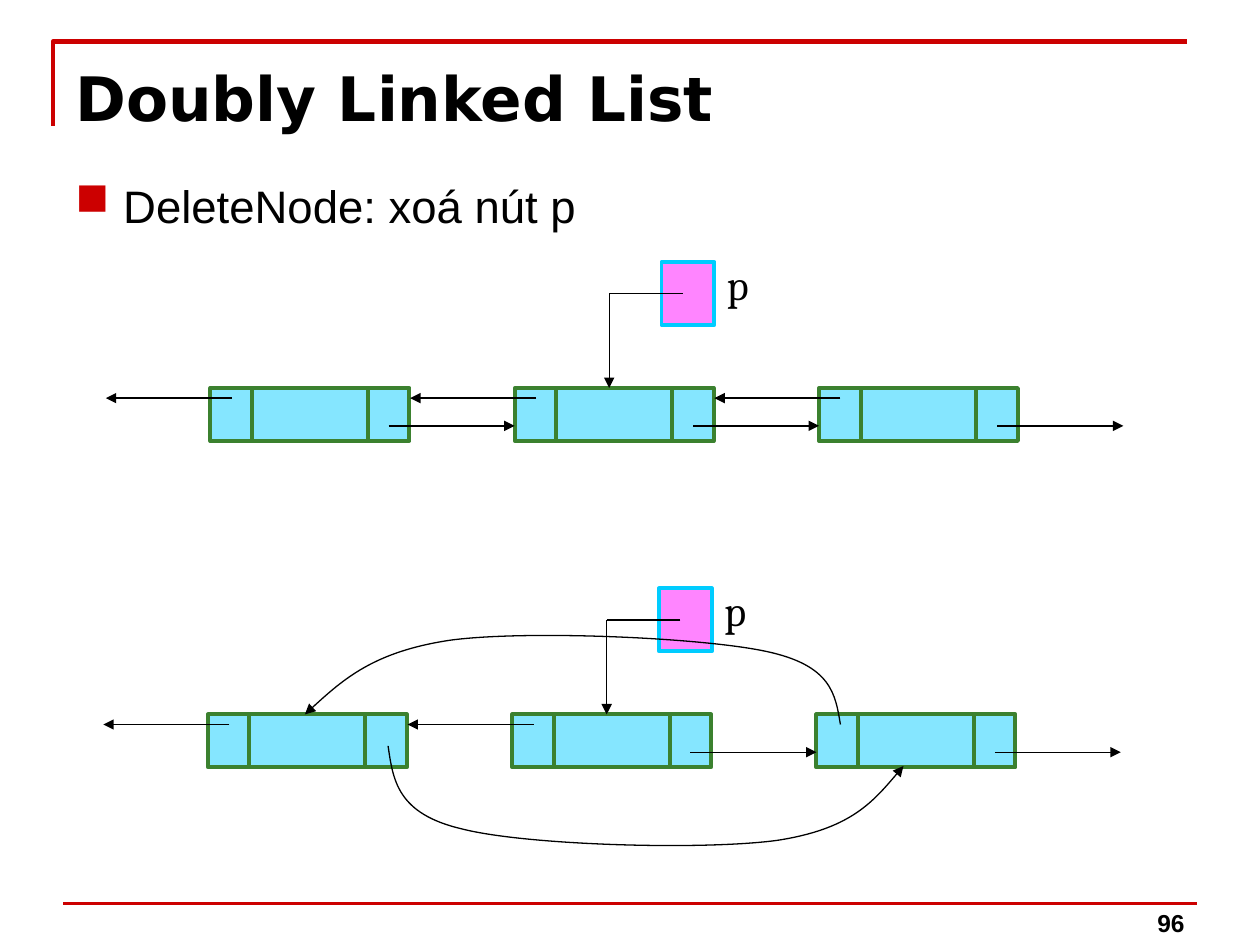
from dataclasses import dataclass

from pptx import Presentation
from pptx.dml.color import RGBColor
from pptx.enum.shapes import MSO_CONNECTOR, MSO_SHAPE
from pptx.enum.text import MSO_ANCHOR, PP_ALIGN
from pptx.oxml.ns import qn
from pptx.util import Cm, Pt
from lxml.etree import SubElement

RED = RGBColor(0xCC, 0x00, 0x00)
BLACK = RGBColor(0x00, 0x00, 0x00)
CYAN = RGBColor(0x00, 0xCC, 0xFF)
GREEN = RGBColor(0x3B, 0x81, 0x2F)
MAGENTA = RGBColor(0xFF, 0x00, 0xFF)

Point = tuple[float, float]

# Node measures, in inches
LINK_WIDTH = 0.33
DATA_WIDTH = 0.92
NODE_HEIGHT = 0.42
NODE_PITCH = 2.415


@dataclass(frozen=True)
class ListDiagram:
    left: float
    top: float
    previous_links: tuple[int, ...]
    next_links: tuple[int, ...]
    curves: tuple[tuple[Point, ...], ...] = ()


@dataclass(frozen=True)
class Label:
    text: str
    box: tuple[float, float, float, float]
    font: str
    size: float
    bold: bool = False
    align: PP_ALIGN = PP_ALIGN.LEFT
    anchor: MSO_ANCHOR = MSO_ANCHOR.TOP
    inset_top: float = 0.05
    wrap: bool = True
    bullet: bool = False


BEFORE = ListDiagram(1.67, 3.08, (0, 1, 2), (0, 1, 2))
# Each curve: start point, then two controls and an end per segment
AFTER = ListDiagram(1.65, 5.67, (0, 1), (1, 2), (
    ((3.08, 5.92), (3.12, 6.19), (3.15, 6.46), (3.67, 6.58),
     (4.18, 6.71), (5.58, 6.75), (6.17, 6.67),
     (6.75, 6.58), (6.96, 6.33), (7.17, 6.08)),
    ((6.67, 5.75), (6.63, 5.51), (6.6, 5.28), (6.08, 5.17),
     (5.57, 5.06), (4.19, 5), (3.58, 5.08),
     (2.97, 5.17), (2.69, 5.42), (2.42, 5.67)),
))
LABELS = (
    Label("96", (7.17, 6.99, 2.33, 0.5), "Arial", 14, bold=True,
          align=PP_ALIGN.RIGHT, anchor=MSO_ANCHOR.BOTTOM),
    Label("Doubly Linked List", (0.5, 0.39, 9, 0.86), "DejaVu Sans", 35,
          bold=True, inset_top=0.09),
    Label("DeleteNode: xoá nút p", (0.5, 1.33, 9, 5.37), "Arial", 26,
          align=PP_ALIGN.JUSTIFY, inset_top=0.08, bullet=True),
)


def inches(value: float) -> Cm:
    return Cm(value * 2.54)


def add_arrowhead(shape) -> None:
    SubElement(shape.line._get_or_add_ln(), qn("a:tailEnd"), type="triangle")


def draw_line(slide, start: Point, end: Point, color: RGBColor = BLACK,
              width: float = 0.75, arrow: bool = True) -> None:
    line = slide.shapes.add_connector(
        MSO_CONNECTOR.STRAIGHT, *map(inches, (*start, *end)))
    line.line.color.rgb = color
    line.line.width = Pt(width)
    if arrow:
        add_arrowhead(line)
    SubElement(line._element.spPr, qn("a:effectLst"))


def draw_outline(slide, points: tuple[Point, ...], color: RGBColor,
                 width: float):
    start, *rest = [(inches(x), inches(y)) for x, y in points]
    builder = slide.shapes.build_freeform(*start)
    builder.add_line_segments(rest, close=False)
    outline = builder.convert_to_shape()
    outline.shadow.inherit = False
    outline.fill.background()
    outline.line.color.rgb = color
    outline.line.width = Pt(width)
    return outline


def draw_curve(slide, points: tuple[Point, ...]) -> None:
    curve = draw_outline(slide, points, BLACK, 0.75)
    # Merge every three straight steps into one cubic segment
    geometry = next(curve._element.iter(qn("a:path")))
    steps = geometry.findall(qn("a:lnTo"))
    for first in range(0, len(steps), 3):
        cubic = SubElement(geometry, qn("a:cubicBezTo"))
        for step in steps[first:first + 3]:
            cubic.append(step[0])
            geometry.remove(step)
    add_arrowhead(curve)


def draw_cell(slide, left: float, top: float, width: float, height: float,
              fill: RGBColor, border: RGBColor) -> None:
    cell = slide.shapes.add_shape(
        MSO_SHAPE.RECTANGLE, *map(inches, (left, top, width, height)))
    cell.shadow.inherit = False
    cell.fill.solid()
    cell.fill.fore_color.rgb = fill
    color = next(cell._element.spPr.iter(qn("a:srgbClr")))
    SubElement(color, qn("a:alpha"), val="48000")
    cell.line.color.rgb = border
    cell.line.width = Pt(2.25)


def draw_label(slide, label: Label) -> None:
    frame = slide.shapes.add_textbox(*map(inches, label.box)).text_frame
    frame.word_wrap = label.wrap
    frame.vertical_anchor = label.anchor
    frame.margin_top = inches(label.inset_top)
    paragraph = frame.paragraphs[0]
    paragraph.alignment = label.align
    if label.bullet:
        properties = paragraph._p.get_or_add_pPr()
        properties.set("marL", str(inches(0.38)))
        properties.set("indent", str(-inches(0.38)))
        bullet_color = SubElement(properties, qn("a:buClr"))
        SubElement(bullet_color, qn("a:srgbClr"), val=str(RED))
        SubElement(properties, qn("a:buChar"), char="■")
    run = paragraph.add_run()
    run.text = label.text
    run.font.name = label.font
    run.font.size = Pt(label.size)
    run.font.bold = label.bold
    run.font.color.rgb = BLACK


def draw_diagram(slide, diagram: ListDiagram) -> None:
    left, top = diagram.left, diagram.top
    node_lefts = [left + NODE_PITCH * index for index in range(3)]

    # Nodes: data cell between two link cells
    for node in node_lefts:
        for offset, width in ((LINK_WIDTH, DATA_WIDTH),
                              (LINK_WIDTH + DATA_WIDTH, LINK_WIDTH),
                              (0, LINK_WIDTH)):
            draw_cell(slide, node + offset, top, width, NODE_HEIGHT,
                      CYAN, GREEN)

    # Links, with the zero-length arrow in the first node
    stub = (left + 0.17, top + 0.17)
    draw_line(slide, stub, stub)
    for index in diagram.next_links:
        start = node_lefts[index] + 1.415
        draw_line(slide, (start, top + 0.3), (start + 1, top + 0.3))
    for index in diagram.previous_links:
        start = node_lefts[index] + 0.17
        draw_line(slide, (start, top + 0.08), (start - 1, top + 0.08))

    # Pointer p
    elbow = (left + 3.165, top - 0.75)
    draw_cell(slide, left + 3.58, top - 1, 0.42, 0.5, MAGENTA, CYAN)
    draw_line(slide, elbow, (elbow[0], top))
    draw_label(slide, Label("p", (left + 4, top - 1.08, 0.37, 0.5),
                            "Cambria", 24, wrap=False))
    draw_line(slide, (left + 3.75, elbow[1]), elbow, arrow=False)

    for curve in diagram.curves:
        draw_curve(slide, curve)


def main() -> None:
    presentation = Presentation()
    presentation.slide_width = inches(10)
    presentation.slide_height = inches(7.5)
    slide = presentation.slides.add_slide(presentation.slide_layouts[6])

    # Frame lines
    draw_outline(slide, ((0.42, 1), (0.42, 0.33), (9.42, 0.33)), RED, 2.5)
    draw_line(slide, (0.5, 7.17), (9.5, 7.17), RED, 2, arrow=False)

    for label in LABELS:
        draw_label(slide, label)
    for diagram in (BEFORE, AFTER):
        draw_diagram(slide, diagram)
    presentation.save("out.pptx")


if __name__ == "__main__":
    main()
